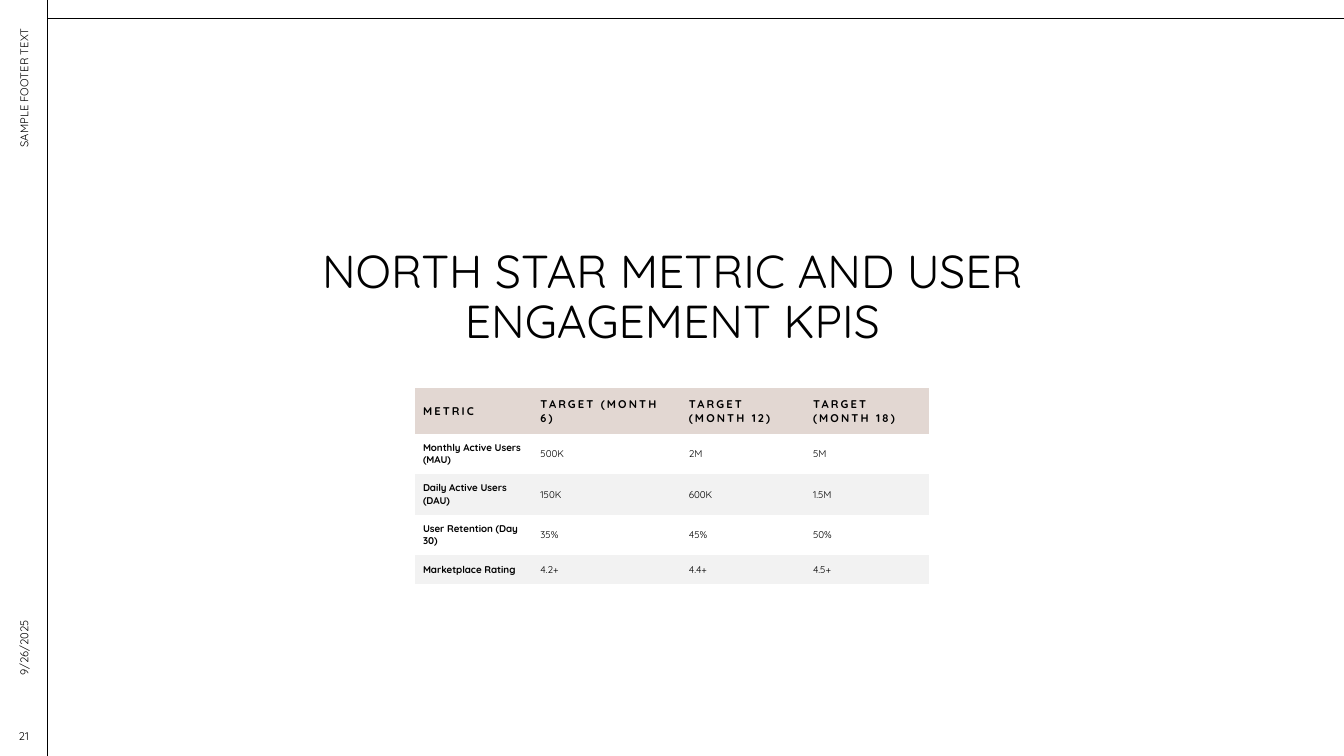
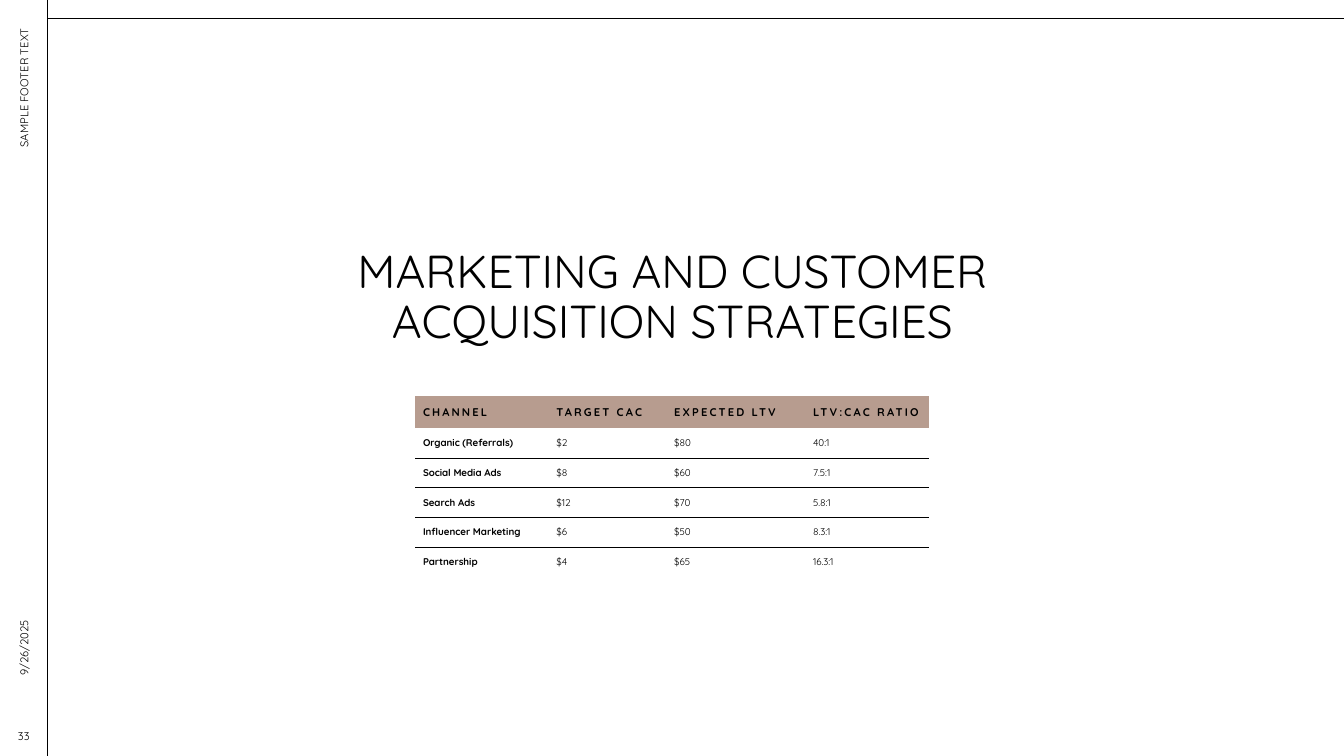
from lxml import etree
from pptx import Presentation
from pptx.dml.color import RGBColor
from pptx.enum import shapes, text
from pptx.oxml import ns
from pptx.util import Cm, Pt

BLACK = RGBColor(0x00, 0x00, 0x00)
WHITE = RGBColor(0xFF, 0xFF, 0xFF)
BLUSH = RGBColor(0xE2, 0xD7, 0xD2)
CLAY = RGBColor(0xB7, 0x9C, 0x8F)
MIST = RGBColor(0xF2, 0xF2, 0xF2)
FONT = "Quicksand"

WIDTH, HEIGHT = 33.87, 19.05
RAIL, TOP_RULE = 1.2, 0.46
TABLE_LEFT = 10.46
LEFT, CENTER, RIGHT = text.PP_ALIGN.LEFT, text.PP_ALIGN.CENTER, text.PP_ALIGN.RIGHT

RULES = [(RAIL, TOP_RULE, WIDTH, TOP_RULE), (RAIL, 0, RAIL, HEIGHT)]

SLIDES = [
    {
        "title": "NORTH STAR METRIC AND USER ENGAGEMENT KPIS",
        "number": "21",
        "top": 9.78,
        "columns": [2.96, 3.74, 3.13, 3.12],
        "heights": [1.15, 1.02, 1.02, 1.02, 0.72],
        "header": BLUSH,
        "bands": [WHITE, MIST],
        "ruled": False,
        "rows": [
            ("METRIC", "TARGET (MONTH 6)", "TARGET (MONTH 12)", "TARGET (MONTH 18)"),
            ("Monthly Active Users (MAU)", "500K", "2M", "5M"),
            ("Daily Active Users (DAU)", "150K", "600K", "1.5M"),
            ("User Retention (Day 30)", "35%", "45%", "50%"),
            ("Marketplace Rating", "4.2+", "4.4+", "4.5+"),
        ],
    },
    {
        "title": "MARKETING AND CUSTOMER ACQUISITION STRATEGIES",
        "number": "33",
        "top": 9.98,
        "columns": [3.36, 2.97, 3.5, 3.12],
        "heights": [0.81] + [0.75] * 5,
        "header": CLAY,
        "bands": [WHITE],
        "ruled": True,
        "rows": [
            ("CHANNEL", "TARGET CAC", "EXPECTED LTV", "LTV:CAC RATIO"),
            ("Organic (Referrals)", "$2", "$80", "40:1"),
            ("Social Media Ads", "$8", "$60", "7.5:1"),
            ("Search Ads", "$12", "$70", "5.8:1"),
            ("Influencer Marketing", "$6", "$50", "8.3:1"),
            ("Partnership", "$4", "$65", "16.3:1"),
        ],
    },
]


def write(frame, words, size, bold=False, align=LEFT, spacing=0, line=1.0):
    frame.word_wrap = True
    para = frame.paragraphs[0]
    para.alignment = align
    para.line_spacing = line
    span = para.add_run()
    span.text = words
    span.font.name = FONT
    span.font.size = Pt(size)
    span.font.bold = bold
    span.font.color.rgb = BLACK
    if spacing:
        span.font._element.set("spc", str(int(spacing * 100)))


def add_rule(page, x1, y1, x2, y2):
    rule = page.shapes.add_connector(
        shapes.MSO_CONNECTOR.STRAIGHT, Cm(x1), Cm(y1), Cm(x2), Cm(y2))
    rule.line.color.rgb = BLACK
    rule.line.width = Pt(0.5)
    etree.SubElement(rule._element.spPr, ns.qn("a:effectLst"))


def add_rail_text(page, words, middle, width, height=RAIL, turn=270, align=LEFT):
    box = page.shapes.add_textbox(
        Cm((RAIL - width) / 2), Cm(middle - height / 2), Cm(width), Cm(height))
    box.rotation = turn
    box.text_frame.vertical_anchor = text.MSO_ANCHOR.MIDDLE
    write(box.text_frame, words, 8, align=align)


def set_borders(cell, ruled_sides):
    properties = cell._tc.get_or_add_tcPr()
    for side in "LRTB":
        border = etree.SubElement(properties, ns.qn(f"a:ln{side}"), w=str(Pt(0.5)))
        if side in ruled_sides:
            fill = etree.SubElement(border, ns.qn("a:solidFill"))
            etree.SubElement(fill, ns.qn("a:srgbClr"), val=str(BLACK))
        else:
            etree.SubElement(border, ns.qn("a:noFill"))


def add_grid(page, content):
    rows, columns, heights = content["rows"], content["columns"], content["heights"]
    table = page.shapes.add_table(
        len(rows), len(columns), Cm(TABLE_LEFT), Cm(content["top"]),
        Cm(sum(columns)), Cm(sum(heights))).table
    table.first_row = table.horz_banding = False
    for column, width in zip(table.columns, columns):
        column.width = Cm(width)
    for r, (row, height) in enumerate(zip(rows, heights)):
        table.rows[r].height = Cm(height)
        header = r == 0
        sides = ""
        if content["ruled"]:
            sides += "T" if r > 1 else ""
            sides += "B" if 0 < r < len(rows) - 1 else ""
        bands = content["bands"]
        color = content["header"] if header else bands[(r - 1) % len(bands)]
        for c, words in enumerate(row):
            cell = table.cell(r, c)
            cell.margin_left = cell.margin_right = Cm(0.2)
            cell.margin_top = cell.margin_bottom = Cm(0.2)
            cell.vertical_anchor = text.MSO_ANCHOR.MIDDLE
            set_borders(cell, sides)
            cell.fill.solid()
            cell.fill.fore_color.rgb = color
            write(cell.text_frame, words, 8 if header else 7,
                  bold=header or c == 0, spacing=1.5 if header else 0)


def add_page(deck, content):
    page = deck.slides.add_slide(deck.slide_layouts[5])
    for rule in RULES:
        add_rule(page, *rule)
    title = page.shapes.title
    title.left, title.top, title.width, title.height = Cm(7.75), Cm(5.94), Cm(18.39), Cm(2.97)
    title.text_frame.auto_size = text.MSO_AUTO_SIZE.NONE
    title.text_frame.vertical_anchor = text.MSO_ANCHOR.BOTTOM
    write(title.text_frame, content["title"], 33, align=CENTER, line=0.9)
    add_rail_text(page, "SAMPLE FOOTER TEXT", 6.8, 12.67, align=RIGHT)
    add_rail_text(page, "9/26/2025", 15.21, 4.14)
    add_rail_text(page, content["number"], 18.54, RAIL, height=1.02, turn=0, align=CENTER)
    add_grid(page, content)


def main():
    deck = Presentation()
    deck.slide_width, deck.slide_height = Cm(WIDTH), Cm(HEIGHT)
    for content in SLIDES:
        add_page(deck, content)
    deck.save("out.pptx")


if __name__ == "__main__":
    main()
